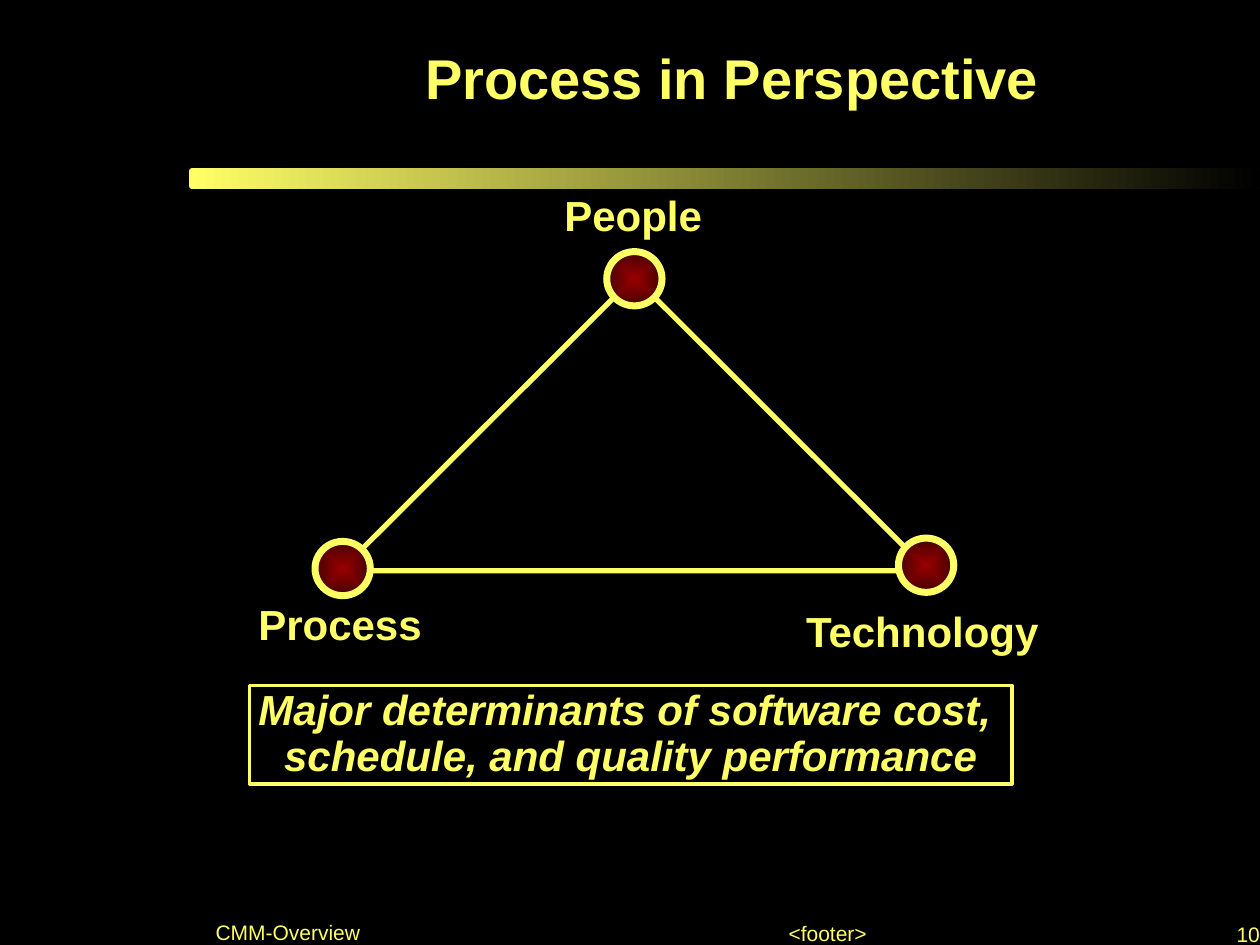
from lxml import etree
from pptx import Presentation
from pptx.dml.color import RGBColor
from pptx.enum.shapes import MSO_SHAPE
from pptx.enum.text import MSO_ANCHOR, PP_ALIGN
from pptx.oxml import parse_xml
from pptx.oxml.ns import nsdecls, qn
from pptx.util import Pt

LEFT, CENTER, RIGHT = PP_ALIGN.LEFT, PP_ALIGN.CENTER, PP_ALIGN.RIGHT
TOP, MIDDLE, BOTTOM = MSO_ANCHOR.TOP, MSO_ANCHOR.MIDDLE, MSO_ANCHOR.BOTTOM

YELLOW, BLACK, RED, DARK_RED = "FFFF66", "000000", "990000", "460000"
FONT = "Arial"
NODE_SIZE = (31.6, 31)
LABEL_HEIGHT = 29
LABEL_INSETS = (5, 2.4)

# lines, place, size, bold, align, anchor, line spacing, wrap
TEXTS = [
    (["Process in Perspective"], (116.6, 0, 603.4, 95.8), 32, True, CENTER, MIDDLE, 0.8, True),
    (["CMM-Overview"], (89.3, 517, 150.5, 23), 12, False, CENTER, BOTTOM, 0.8, True),
    (["<footer>"], (443, 526.3, 60, 14.4), 12, False, CENTER, BOTTOM, 1.0, False),
    (["10"], (705.6, 529.2, 14.4, 11.5), 12, False, RIGHT, BOTTOM, 0.8, False),
]
# label, label left, top and width, node left and top
CORNERS = [
    ("Technology", (455.6, 347.8, 150), (513.4, 307.5)),
    ("People", (317.5, 109.8, 96), (346.7, 143.8)),
    ("Process", (142.6, 343.8, 110), (180, 309.4)),
]
TRIANGLE = (194.4, 158.4, 336.2, 167.8)
BAR = (108, 96, 612, 12)
# The space after the comma shifts the centred first line
SUMMARY = ["Major determinants of software cost, ", "schedule, and quality performance"]
SUMMARY_PLACE = (142.6, 391.7, 435.6, 56.2)


def color(value):
    return RGBColor.from_string(value)


def points(values):
    return [Pt(value) for value in values]


def write(box, lines, size, bold, align, anchor, spacing, wrap, italic=False, insets=(0, 0)):
    frame = box.text_frame
    frame.word_wrap = wrap
    frame.vertical_anchor = anchor
    frame.margin_left = frame.margin_right = Pt(insets[0])
    frame.margin_top = frame.margin_bottom = Pt(insets[1])
    for index, line in enumerate(lines):
        para = frame.add_paragraph() if index else frame.paragraphs[0]
        para.alignment = align
        para.line_spacing = spacing
        span = para.add_run()
        span.text = line
        font = span.font
        font.name, font.size, font.bold, font.italic = FONT, Pt(size), bold, italic
        font.color.rgb = color(YELLOW)


def add_shape(page, kind, place, line_width=0):
    """Add an unfilled shape; a zero line width means no outline."""
    shape = page.shapes.add_shape(kind, *points(place))
    shape.shadow.inherit = False
    shape.fill.background()
    if line_width:
        shape.line.color.rgb = color(YELLOW)
        shape.line.width = Pt(line_width)
    else:
        shape.line.fill.background()
    return shape


def fill_gradient(shape, start, end, from_center=False):
    shape.fill.gradient()
    shape.fill.gradient_angle = 0
    for stop, value, position in zip(shape.fill.gradient_stops, (start, end), (0, 1)):
        stop.color.rgb = color(value)
        stop.position = position
    if from_center:
        gradient = shape.element.spPr.find(qn("a:gradFill"))
        gradient.remove(gradient.find(qn("a:lin")))
        center = parse_xml(f'<a:path {nsdecls("a")} path="rect"/>')
        etree.SubElement(center, qn("a:fillToRect"), l="50000", t="50000", r="50000", b="50000")
        gradient.append(center)


def main():
    deck = Presentation()
    deck.slide_width, deck.slide_height = Pt(720), Pt(540)
    page = deck.slides.add_slide(deck.slide_layouts[6])
    page.background.fill.solid()
    page.background.fill.fore_color.rgb = color(BLACK)

    bar = add_shape(page, MSO_SHAPE.ROUNDED_RECTANGLE, BAR)
    fill_gradient(bar, YELLOW, BLACK)

    for lines, place, *style in TEXTS:
        write(page.shapes.add_textbox(*points(place)), lines, *style)

    summary = add_shape(page, MSO_SHAPE.RECTANGLE, SUMMARY_PLACE, 2)
    write(summary, SUMMARY, 24, True, CENTER, TOP, 0.9, False, True, LABEL_INSETS)

    add_shape(page, MSO_SHAPE.ISOSCELES_TRIANGLE, TRIANGLE, 3)
    for label, label_place, corner in CORNERS:
        box = page.shapes.add_textbox(*points((*label_place, LABEL_HEIGHT)))
        write(box, [label], 24, True, LEFT, TOP, 0.87, False, insets=LABEL_INSETS)
        node = add_shape(page, MSO_SHAPE.OVAL, (*corner, *NODE_SIZE), 4)
        fill_gradient(node, RED, DARK_RED, from_center=True)

    deck.save("out.pptx")


if __name__ == "__main__":
    main()
